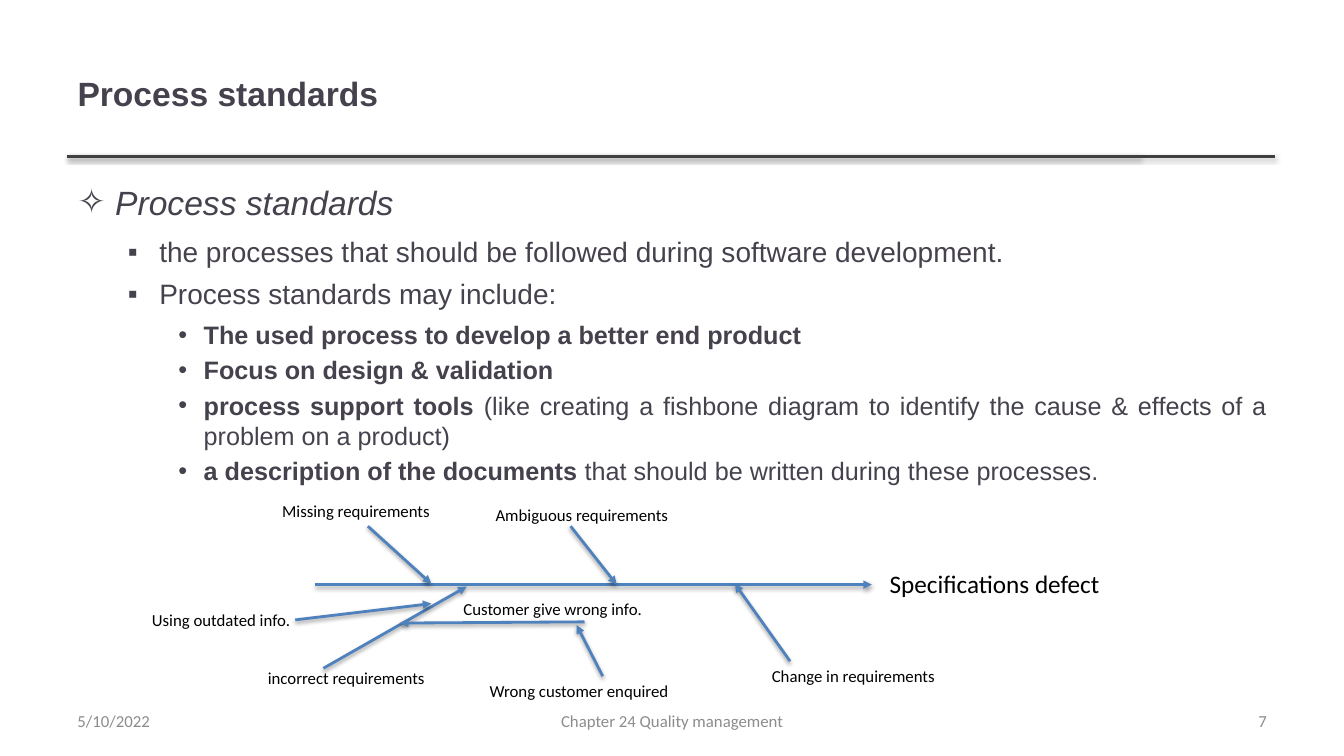
from dataclasses import dataclass

from lxml import etree
from pptx import Presentation
from pptx import util as u
from pptx.dml.color import RGBColor
from pptx.enum import shapes, text
from pptx.oxml import parse_xml
from pptx.oxml.ns import nsdecls, qn

INK, RULE, BLUE, GREY, BLACK = "46424D", "404040", "4F81BD", "8C8C8C", "000000"
LEFT, RIGHT = text.PP_ALIGN.LEFT, text.PP_ALIGN.RIGHT
CENTER, JUST = text.PP_ALIGN.CENTER, text.PP_ALIGN.JUSTIFY
TOP, MIDDLE = text.MSO_ANCHOR.TOP, text.MSO_ANCHOR.MIDDLE


@dataclass(frozen=True)
class Line:
    x1: float
    y1: float
    x2: float
    y2: float
    color: str = BLUE
    arrow: bool = True


@dataclass(frozen=True)
class Label:
    words: str
    left: float
    top: float
    width: float = 4.93
    height: float = 0.77
    size: int = 12
    color: str = BLACK
    align: text.PP_ALIGN = LEFT
    anchor: text.MSO_ANCHOR = TOP


@dataclass(frozen=True)
class Level:
    mark: str
    size: int
    margin: float
    hang: float
    gap: int | None


@dataclass(frozen=True)
class Item:
    level: int
    strong: str = ""
    plain: str = ""
    slant: bool = False


LEVELS = [
    Level("✧", 24, 0.95, 0.95, 6),
    Level("▪", 20, 2.06, 0.79, 3),
    Level("•", 18, 3.18, 0.64, None),
]

ITEMS = [
    Item(0, plain="Process standards", slant=True),
    Item(1, plain="the processes that should be followed during software development."),
    Item(1, plain="Process standards may include:"),
    Item(2, "The used process to develop a better end product"),
    Item(2, "Focus on design & validation"),
    Item(2, "process support tools",
         " (like creating a fishbone diagram to identify the cause & effects of a problem on a product)"),
    Item(2, "a description of the documents ",
         "that should be written during these processes."),
]

RULES = [Line(1.7, 3.94, end, 3.94, RULE, False) for end in (28.75, 32.13)]

BONES = [
    Line(7.95, 14.73, 21.97, 14.73),
    Line(9.27, 13.26, 10.87, 14.71),
    Line(14.38, 13.26, 15.54, 14.73),
    Line(8.15, 16.84, 11.76, 14.78),
    Line(19.91, 16.66, 18.52, 14.71),
    Line(14.73, 15.67, 10.08, 15.7),
    Line(7.44, 15.62, 10.87, 15.21),
    Line(15.19, 17.04, 14.53, 15.75),
]

LABELS = [
    Label("Missing requirements", 6.86, 12.5),
    Label("Ambiguous requirements", 12.24, 12.6),
    Label("Specifications defect", 22.17, 14.2, 6.58, 1.02, 18),
    Label("Change in requirements", 19.2, 16.66),
    Label("incorrect requirements", 6.5, 16.69),
    Label("Customer give wrong info.", 11.43, 14.96, 6.2),
    Label("Wrong customer enquired", 12.09, 17.04, 6.2),
    Label("Using outdated info.", 3.58, 15.24),
    Label("5/10/2022", 1.7, 17.65, 7.9, 1.02, 12, GREY, LEFT, MIDDLE),
    Label("Chapter 24 Quality management", 11.58, 17.65, 10.72, 1.02, 12, GREY, CENTER, MIDDLE),
    Label("7", 24.28, 17.65, 7.9, 1.02, 12, GREY, RIGHT, MIDDLE),
]

SHADOW = (
    f'<a:effectLst {nsdecls("a")}><a:outerShdw blurRad="{u.Pt(3.1)}" dist="{u.Pt(1.6)}" '
    'dir="5400000" rotWithShape="0"><a:srgbClr val="000000"><a:alpha val="38000"/>'
    '</a:srgbClr></a:outerShdw></a:effectLst>'
)


def paint(target, color: str) -> None:
    target.rgb = RGBColor.from_string(color)


def place(shape, left: float, top: float, width: float, height: float) -> None:
    shape.left, shape.top = u.Cm(left), u.Cm(top)
    shape.width, shape.height = u.Cm(width), u.Cm(height)


def write(para, words: str, size: int, color: str, face: str = "Arial",
          bold: bool = False, slant: bool = False) -> None:
    run = para.add_run()
    run.text = words
    font = run.font
    font.name, font.size, font.bold, font.italic = face, u.Pt(size), bold, slant
    paint(font.color, color)


def draw_line(slide, line: Line) -> None:
    ends = [u.Cm(n) for n in (line.x1, line.y1, line.x2, line.y2)]
    shape = slide.shapes.add_connector(shapes.MSO_CONNECTOR.STRAIGHT, *ends)
    shape.line.width = u.Pt(2)
    shape.line.fill.solid()
    paint(shape.line.fill.fore_color, line.color)
    props = shape._element.spPr
    if line.arrow:
        etree.SubElement(props.find(qn("a:ln")), qn("a:tailEnd"), type="triangle")
    props.append(parse_xml(SHADOW))


def draw_label(slide, label: Label) -> None:
    box = slide.shapes.add_textbox(0, 0, 0, 0)
    place(box, label.left, label.top, label.width, label.height)
    frame = box.text_frame
    frame.word_wrap = True
    frame.vertical_anchor = label.anchor
    para = frame.paragraphs[0]
    para.alignment = label.align
    write(para, label.words, label.size, label.color, "Calibri")


def fill_item(para, item: Item) -> None:
    level = LEVELS[item.level]
    para.level = item.level
    para.alignment = JUST
    if level.gap is not None:
        para.space_before = para.space_after = u.Pt(level.gap)
    props = para._p.get_or_add_pPr()
    props.set("marL", str(u.Cm(level.margin)))
    props.set("indent", str(-u.Cm(level.hang)))
    etree.SubElement(props, qn("a:buFont"), typeface="Arial")
    etree.SubElement(props, qn("a:buChar"), char=level.mark)
    for words, bold in ((item.strong, True), (item.plain, False)):
        if words:
            write(para, words, level.size, INK, bold=bold, slant=item.slant)


def main() -> None:
    deck = Presentation()
    deck.slide_width, deck.slide_height = u.Cm(33.87), u.Cm(19.05)
    slide = deck.slides.add_slide(deck.slide_layouts[1])

    title, body = slide.shapes.title, slide.placeholders[1]
    place(title, 1.7, 0.76, 27, 3.18)
    place(body, 1.7, 4.45, 30.48, 6.6)
    for holder in (title, body):
        holder.text_frame.auto_size = text.MSO_AUTO_SIZE.NONE
    title.text_frame.vertical_anchor = MIDDLE
    head = title.text_frame.paragraphs[0]
    head.alignment = LEFT
    write(head, "Process standards", 24, INK, bold=True)

    frame = body.text_frame
    for spot, item in enumerate(ITEMS):
        fill_item(frame.add_paragraph() if spot else frame.paragraphs[0], item)

    for line in RULES + BONES:
        draw_line(slide, line)
    for label in LABELS:
        draw_label(slide, label)
    deck.save("out.pptx")


if __name__ == "__main__":
    main()
